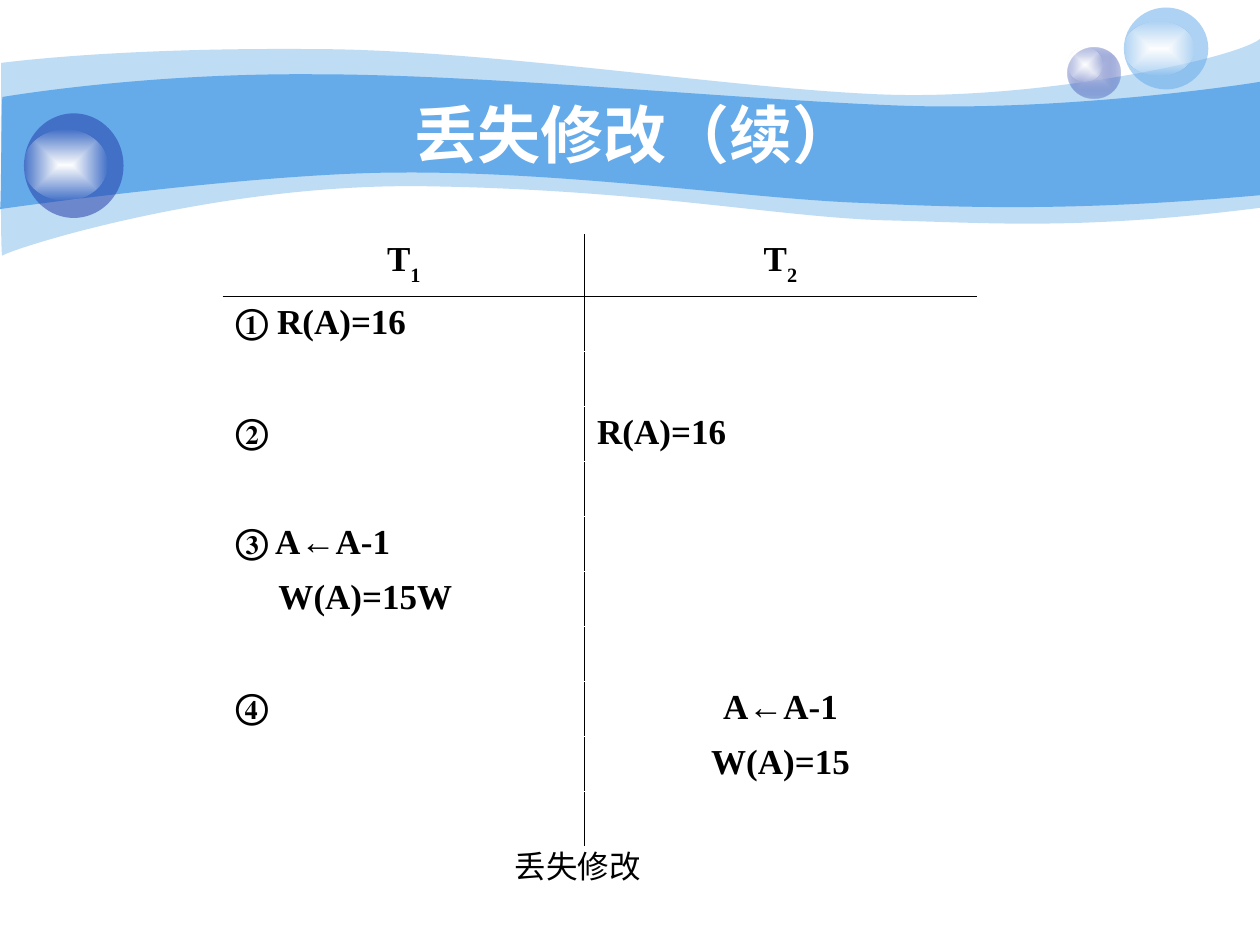
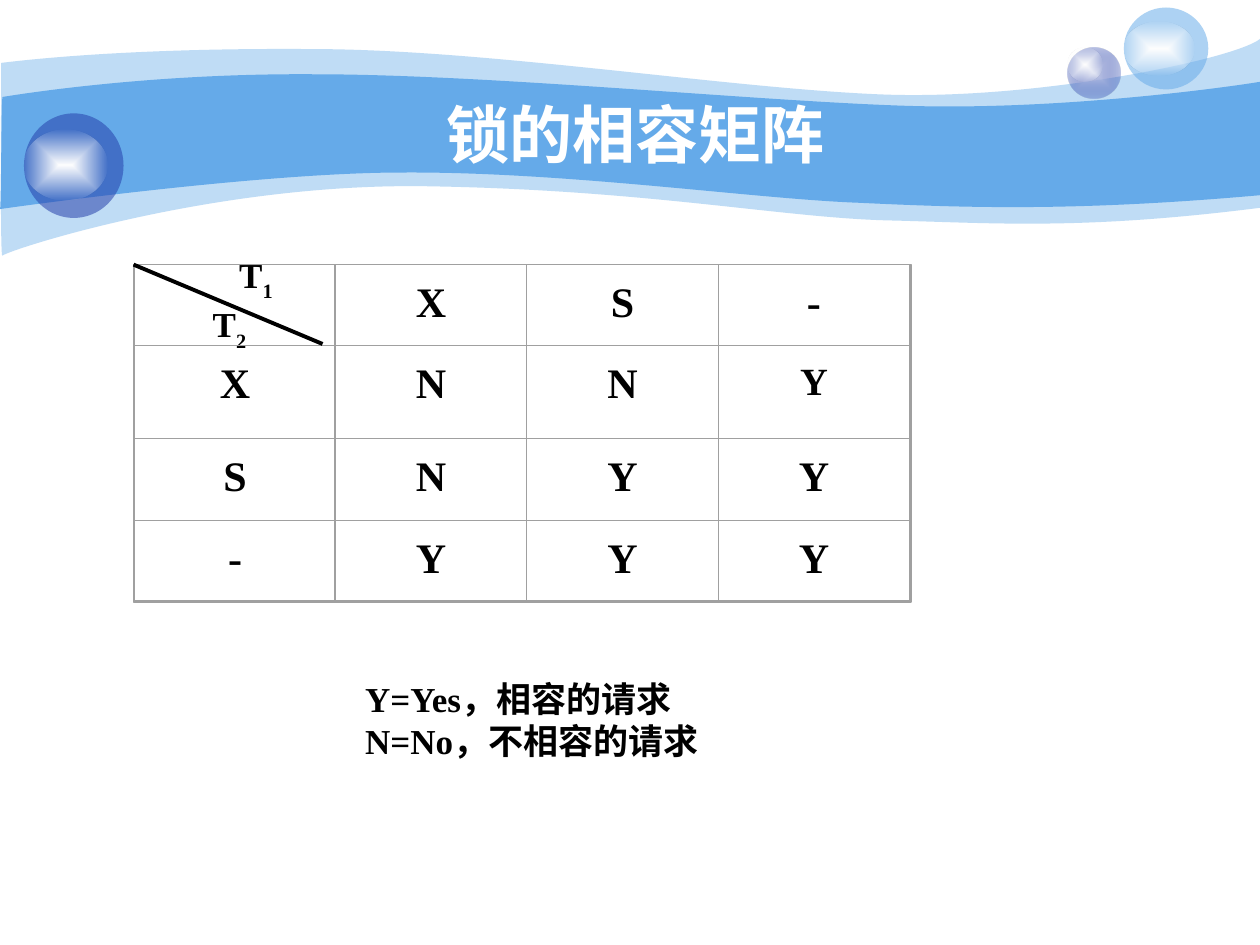
from pptx import Presentation
from pptx.dml.color import RGBColor
from pptx.enum.shapes import MSO_CONNECTOR, MSO_SHAPE
from pptx.enum.text import MSO_ANCHOR, PP_ALIGN
from pptx.oxml import parse_xml
from pptx.oxml.ns import nsdecls, qn
from pptx.oxml.xmlchemy import OxmlElement
from pptx.util import Inches, Pt

OVAL, RECT, STRAIGHT = MSO_SHAPE.OVAL, MSO_SHAPE.RECTANGLE, MSO_CONNECTOR.STRAIGHT
LEFT, CENTER = PP_ALIGN.LEFT, PP_ALIGN.CENTER
TOP, MIDDLE = MSO_ANCHOR.TOP, MSO_ANCHOR.MIDDLE

WHITE = RGBColor(0xFF, 0xFF, 0xFF)
BLACK = RGBColor(0x00, 0x00, 0x00)
SKY = RGBColor(0x65, 0xAA, 0xE9)
NAVY = RGBColor(0x23, 0x3D, 0xA9)
LILAC = RGBColor(0xC7, 0xCE, 0xE9)
GRAY = RGBColor(0xA0, 0xA0, 0xA0)

TITLE = {"name": "Arial", "size": Pt(36), "bold": True, "color": WHITE}
BODY = {"name": "Times New Roman", "size": Pt(20), "bold": True, "color": BLACK}
CAPTION = {**BODY, "size": Pt(18), "bold": False}
MATRIX = {**BODY, "size": Pt(24)}

# Wave outlines in inches: one point makes a line, three a Bezier curve
PALE_WAVE = [
    [(0.01, 0.5)],
    [(0.25, 0.47), (1.08, 0.38), (2.47, 0.39)],
    [(3.86, 0.39), (5.76, 0.7), (6.99, 0.75)],
    [(8.22, 0.8), (9.8, 0.47), (10, 0.31)],
    [(10, 1.65)],
    [(8.58, 1.83), (7.88, 1.77), (7.05, 1.75)],
    [(6.22, 1.73), (5.15, 1.51), (3.44, 1.48)],
    [(1.72, 1.44), (0.05, 1.99), (0.02, 2.03)],
    [(0, 2.08), (0.01, 0.75), (0.01, 0.5)],
]
BLUE_WAVE = [
    [(0.02, 0.77)],
    [(0.03, 0.77), (1.11, 0.58), (2.49, 0.59)],
    [(3.87, 0.59), (5.96, 0.8), (7.18, 0.84)],
    [(8.41, 0.88), (9.76, 0.69), (10, 0.65)],
    [(10, 1.55)],
    [(8.53, 1.68), (7.66, 1.65), (6.82, 1.61)],
    [(5.99, 1.58), (4.48, 1.36), (3.18, 1.37)],
    [(2.04, 1.37), (-0.01, 1.66), (0, 1.66)],
    [(0.01, 1.66), (0.01, 0.77), (0.02, 0.77)],
]
GLOW = [(WHITE, 100), (WHITE, 0)]


class Deck:
    def __init__(self):
        self.prs = Presentation()
        self.prs.slide_width, self.prs.slide_height = Inches(10), Inches(7.5)
        self.slide = None

    def new_slide(self, title):
        self.slide = self.prs.slides.add_slide(self.prs.slide_layouts[6])
        # Waves
        self.wave(PALE_WAVE, 41)
        self.wave(BLUE_WAVE)
        # Bubbles, each with a glow on top
        self.bubble((8.47, 0.38, 0.42, 0.4), [(LILAC, 100), (NAVY, 31)])
        self.bubble((8.47, 0.38, 0.28, 0.27), GLOW)
        self.bubble((8.92, 0.06, 0.67, 0.65), [(SKY, 53)])
        self.bubble((8.92, 0.17, 0.56, 0.43), GLOW)
        self.bubble((0.19, 0.9, 0.79, 0.83), [(NAVY, 53)])
        self.bubble((0.19, 1.03, 0.66, 0.56), GLOW)
        # Title
        self.text((1, 0.75, 8.08, 0.62), [title], TITLE, CENTER, anchor=MIDDLE)

    def paint(self, s, color, alpha=100):
        s.shadow.inherit = False
        s.line.fill.background()
        s.fill.solid()
        s.fill.fore_color.rgb = color
        if alpha < 100:
            node = OxmlElement("a:alpha")
            node.set("val", str(alpha * 1000))
            s._element.spPr.find(qn("a:solidFill"))[0].append(node)

    def wave(self, segments, alpha=100):
        """Draw through all points, then join each group of three into a curve."""
        points = [(Inches(x), Inches(y)) for seg in segments for x, y in seg]
        builder = self.slide.shapes.build_freeform(*points[0])
        builder.add_line_segments(points[1:], close=True)
        s = builder.convert_to_shape()
        lines = iter(list(s._element.iter(qn("a:lnTo"))))
        for seg in segments[1:]:
            group = [next(lines) for _ in seg]
            if len(group) == 3:
                curve = OxmlElement("a:cubicBezTo")
                group[0].addprevious(curve)
                for line in group:
                    curve.append(line[0])
                    line.getparent().remove(line)
        self.paint(s, SKY, alpha)

    def bubble(self, box, stops):
        s = self.slide.shapes.add_shape(OVAL, *map(Inches, box))
        self.paint(s, *stops[0])
        if len(stops) == 1:
            return
        gs = "".join(
            f'<a:gs pos="{i * 100000}"><a:srgbClr val="{color}">'
            f'<a:alpha val="{alpha * 1000}"/></a:srgbClr></a:gs>'
            for i, (color, alpha) in enumerate(stops))
        grad = parse_xml(
            f'<a:gradFill {nsdecls("a")} rotWithShape="1"><a:gsLst>{gs}</a:gsLst>'
            '<a:path path="rect"><a:fillToRect l="50000" t="50000" r="50000" b="50000"/>'
            '</a:path></a:gradFill>')
        sp_pr = s._element.spPr
        sp_pr.replace(sp_pr.find(qn("a:solidFill")), grad)

    def frame(self, box, width):
        s = self.slide.shapes.add_shape(RECT, *map(Inches, box))
        s.shadow.inherit = False
        s.fill.background()
        s.line.color.rgb = GRAY
        s.line.width = Pt(width)

    def paragraph(self, p, text, style, align=LEFT, indent=0):
        """Write one paragraph; the part after an underscore is a subscript."""
        p.alignment = align
        if indent:
            p._p.get_or_add_pPr().set("marL", str(Inches(indent)))
        for i, part in enumerate(text.split("_")):
            r = p.add_run()
            r.text = part
            for key, value in style.items():
                if key == "color":
                    r.font.color.rgb = value
                else:
                    setattr(r.font, key, value)
            if i:
                r.font._element.set("baseline", "-30000")

    def text(self, box, lines, style, align=LEFT, anchor=TOP, indents=(0, 0), inset=0.05):
        tf = self.slide.shapes.add_textbox(*map(Inches, box)).text_frame
        tf.word_wrap = True
        tf.vertical_anchor = anchor
        tf.margin_top = Inches(inset)
        for i, (line, indent) in enumerate(zip(lines, indents)):
            p = tf.add_paragraph() if i else tf.paragraphs[0]
            self.paragraph(p, line, style, align, indent)

    def table(self, left, top, widths, heights):
        s = self.slide.shapes.add_table(
            len(heights), len(widths), Inches(left), Inches(top),
            Inches(sum(widths)), Inches(sum(heights)))
        table = s.table
        table.first_row = table.horz_banding = False
        for column, width in zip(table.columns, widths):
            column.width = Inches(width)
        for row, height in zip(table.rows, heights):
            row.height = Inches(height)
        return table

    def cell(self, cell, borders, width):
        """Clear the fill and draw the left, right, top and bottom borders."""
        cell.fill.background()
        tc_pr = cell._tc.get_or_add_tcPr()
        for i, (side, color) in enumerate(zip("LRTB", borders)):
            tc_pr.insert(i, parse_xml(
                f'<a:ln{side} {nsdecls("a")} w="{Pt(width)}"><a:solidFill>'
                f'<a:srgbClr val="{color}"/></a:solidFill></a:ln{side}>'))

    def line(self, x1, y1, x2, y2, color, width):
        s = self.slide.shapes.add_connector(STRAIGHT, *map(Inches, (x1, y1, x2, y2)))
        s.line.color.rgb = color
        s.line.width = Pt(width)
        s._element.spPr.append(OxmlElement("a:effectLst"))


def lost_update_slide(deck):
    deck.new_slide("丢失修改（续）")
    # Schedule: (row, column) -> text, alignment, indent
    steps = {
        (0, 0): ("T_1", CENTER), (0, 1): ("T_2", CENTER),
        (1, 0): ("① R(A)=16",),
        (3, 0): ("②",), (3, 1): ("R(A)=16",),
        (5, 0): ("③ A←A-1",), (6, 0): ("W(A)=15W", LEFT, 0.34),
        (8, 0): ("④",), (8, 1): ("A←A-1", CENTER),
        (9, 1): ("W(A)=15", CENTER),
    }
    row_count = 11
    row_height = (4.86 - 0.49) / (row_count - 1)
    table = deck.table(1.77, 1.86, [2.87, 3.11], [0.49] + [row_height] * (row_count - 1))
    for row in range(row_count):
        for col in (0, 1):
            cell = table.cell(row, col)
            borders = (BLACK if col else WHITE, WHITE if col else BLACK,
                       BLACK if row == 1 else WHITE, BLACK if row == 0 else WHITE)
            deck.cell(cell, borders, 0.45)
            if (row, col) in steps:
                text, *layout = steps[row, col]
                deck.paragraph(cell.text_frame.paragraphs[0], text, BODY, *layout)
    deck.text((3.61, 6.67, 1.95, 0.4), ["丢失修改"], CAPTION, CENTER)


def lock_matrix_slide(deck):
    deck.new_slide("锁的相容矩阵")
    # Legend
    deck.text((2.8, 5.33, 3.07, 1.21), ["Y=Yes，相容的请求", "N=No，不相容的请求"], BODY)
    # Split corner cell
    deck.text((1.46, 1.96, 0.88, 0.89), ["T_1", "T_2"], BODY, indents=(0.34, 0.13))
    # Compatibility matrix
    rows = [["", "X", "S", "-"], ["X", "N", "N", "Y"], ["S", "N", "Y", "Y"], ["-", "Y", "Y", "Y"]]
    widths, heights = [1.59, 1.52, 1.52, 1.52], [0.64, 0.74, 0.65, 0.64]
    gap = 0.15
    for i, row in enumerate(rows):
        for j, lock in enumerate(row):
            x, y = 1.07 + sum(widths[:j]), 2.1 + sum(heights[:i])
            w, h = widths[j], heights[i]
            if lock:
                style = {**MATRIX, "size": Pt(22)} if (i, j) == (1, 3) else MATRIX
                deck.text((x + gap, y, w - 2 * gap, h), [lock], style, CENTER, inset=0.09)
            deck.frame((x, y, w, h), 0)
    deck.frame((1.06, 2.1, 6.17, 2.68), 0.88)
    deck.line(1.06, 2.1, 2.56, 2.73, BLACK, 2.25)


def main():
    deck = Deck()
    lost_update_slide(deck)
    lock_matrix_slide(deck)
    deck.prs.save("out.pptx")


if __name__ == "__main__":
    main()
